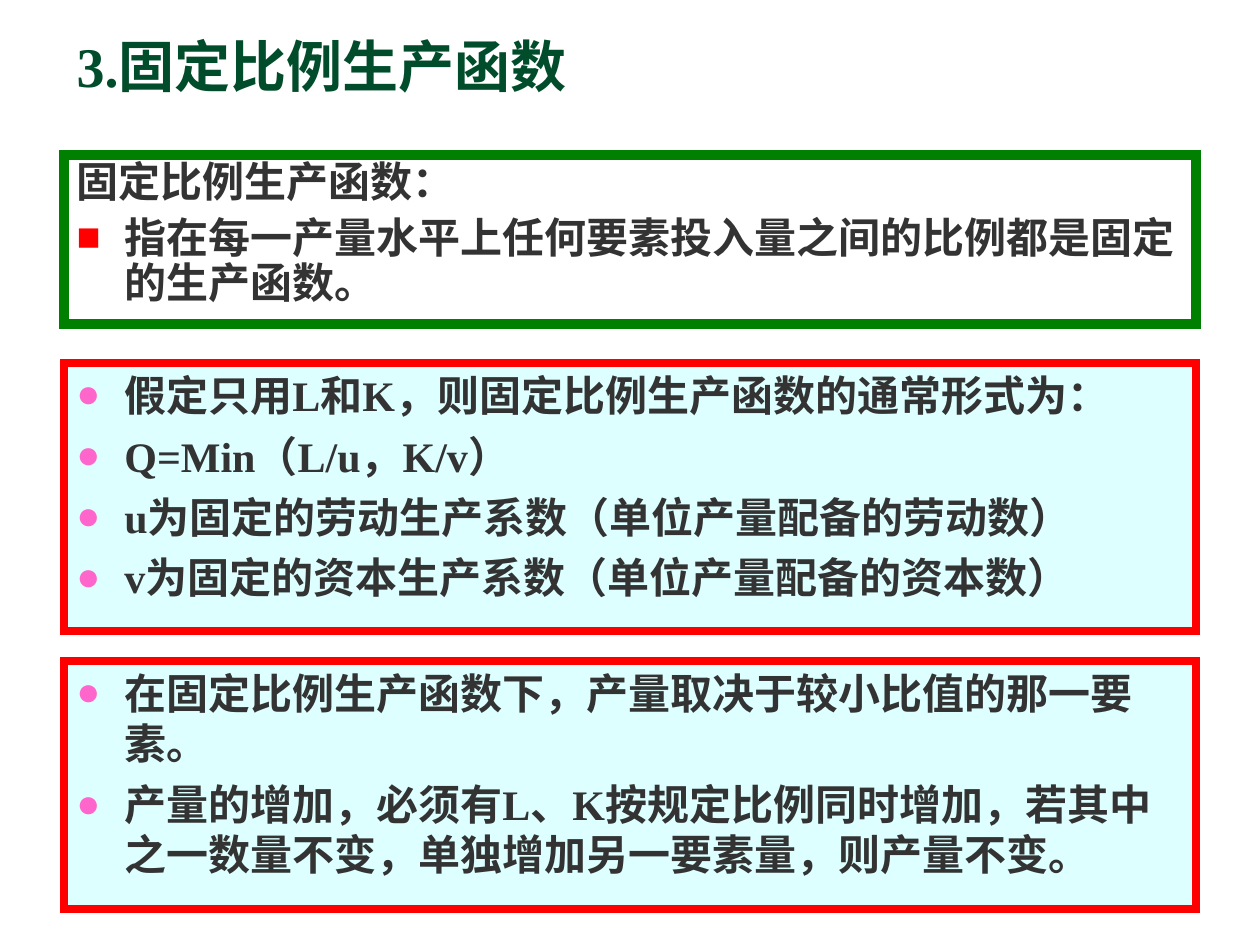
from lxml.etree import SubElement
from pptx import Presentation
from pptx.dml.color import RGBColor
from pptx.enum.shapes import MSO_SHAPE
from pptx.enum.text import MSO_ANCHOR, MSO_AUTO_SIZE, PP_ALIGN
from pptx.oxml.ns import qn
from pptx.util import Emu, Pt

SCALE = 914400 / 126
FONT = "Times New Roman"
LEFT, WIDTH = 64, 1132
INDENT = 48


def px(n):
    """Turn pixels into EMU."""
    return Emu(round(n * SCALE))


def paint(color, code):
    """Set a colour from a hex string."""
    color.rgb = RGBColor.from_string(code)


def place(shape, top, width, height):
    """Put a shape at the common left edge."""
    shape.left, shape.top = px(LEFT), px(top)
    shape.width, shape.height = px(width), px(height)


def style(font, size, code):
    """Make a font bold with a size and a colour."""
    font.name, font.size, font.bold = FONT, Pt(size), True
    paint(font.color, code)


def frame(shape, fill, line, weight, alpha=None):
    """Give a box its fill and a sharp-cornered outline."""
    shape.fill.solid()
    paint(shape.fill.fore_color, fill)
    if alpha:
        tint = shape.fill._xPr.find(".//" + qn("a:srgbClr"))
        SubElement(tint, qn("a:alpha"), val=str(alpha * 1000))
    shape.line.fill.solid()
    paint(shape.line.color, line)
    shape.line.width = Pt(weight)
    SubElement(shape.line._ln, qn("a:miter"), lim="800000")


def mark(para, sign, code):
    """Set a hanging indent with a bullet, or with none."""
    props = para._p.get_or_add_pPr()
    props.set("marL", str(px(INDENT)))
    props.set("indent", str(-px(INDENT)))
    props.set("hangingPunct", "0")
    if not sign:
        SubElement(props, qn("a:buNone"))
        return
    tint = SubElement(props, qn("a:buClr"))
    SubElement(tint, qn("a:srgbClr"), val=code)
    SubElement(props, qn("a:buSzPct"), val="95000")
    SubElement(props, qn("a:buFont"), typeface=FONT)
    SubElement(props, qn("a:buChar"), char=sign)


def write(shape, items, code, space):
    """Fill a box with (bullet, text) lines."""
    body = shape.text_frame
    body.word_wrap = True
    body.auto_size = MSO_AUTO_SIZE.NONE
    body.vertical_anchor = MSO_ANCHOR.TOP
    for i, (sign, text) in enumerate(items):
        para = body.add_paragraph() if i else body.paragraphs[0]
        para.text = text
        mark(para, sign, code)
        para.alignment = PP_ALIGN.LEFT
        para.line_spacing = space
        para.space_before = Pt(6 if i else 0)
        style(para.font, 24, "333333")


def head(shape, text):
    """Write the slide title."""
    place(shape, 26, 557, 79)
    body = shape.text_frame
    body.text = text
    body.auto_size = MSO_AUTO_SIZE.NONE
    body.vertical_anchor = MSO_ANCHOR.BOTTOM
    para = body.paragraphs[0]
    para.alignment = PP_ALIGN.LEFT
    style(para.font, 32, "004C2B")


def panel(slide, top, height, lines):
    """Add a tinted box with round bullets."""
    shape = slide.shapes.add_shape(
        MSO_SHAPE.RECTANGLE, px(LEFT), px(top), px(WIDTH), px(height))
    shape.shadow.inherit = False
    frame(shape, "CCFFFF", "FF0000", 4.5, 66)
    write(shape, [("●", line) for line in lines], "FF66CC", 1.0)


def main():
    """Build and save the slide."""
    deck = Presentation()
    deck.slide_width, deck.slide_height = px(1260), px(945)
    slide = deck.slides.add_slide(deck.slide_layouts[1])
    head(slide.shapes.title, "3.固定比例生产函数")

    body = slide.placeholders[1]
    place(body, 155, WIDTH, 169)
    frame(body, "FFFFFF", "008000", 6)
    write(body, [
        ("", "固定比例生产函数："),
        ("■", "指在每一产量水平上任何要素投入量之间的比例都是固定的生产函数。"),
    ], "FF0000", 0.9)

    panel(slide, 363, 268, [
        "假定只用L和K，则固定比例生产函数的通常形式为：",
        "Q=Min（L/u，K/v）",
        "u为固定的劳动生产系数（单位产量配备的劳动数）",
        "v为固定的资本生产系数（单位产量配备的资本数）",
    ])
    panel(slide, 661, 248, [
        "在固定比例生产函数下，产量取决于较小比值的那一要素。",
        "产量的增加，必须有L、K按规定比例同时增加，若其中之一数量不变，"
        "单独增加另一要素量，则产量不变。",
    ])
    deck.save("out.pptx")


if __name__ == "__main__":
    main()
